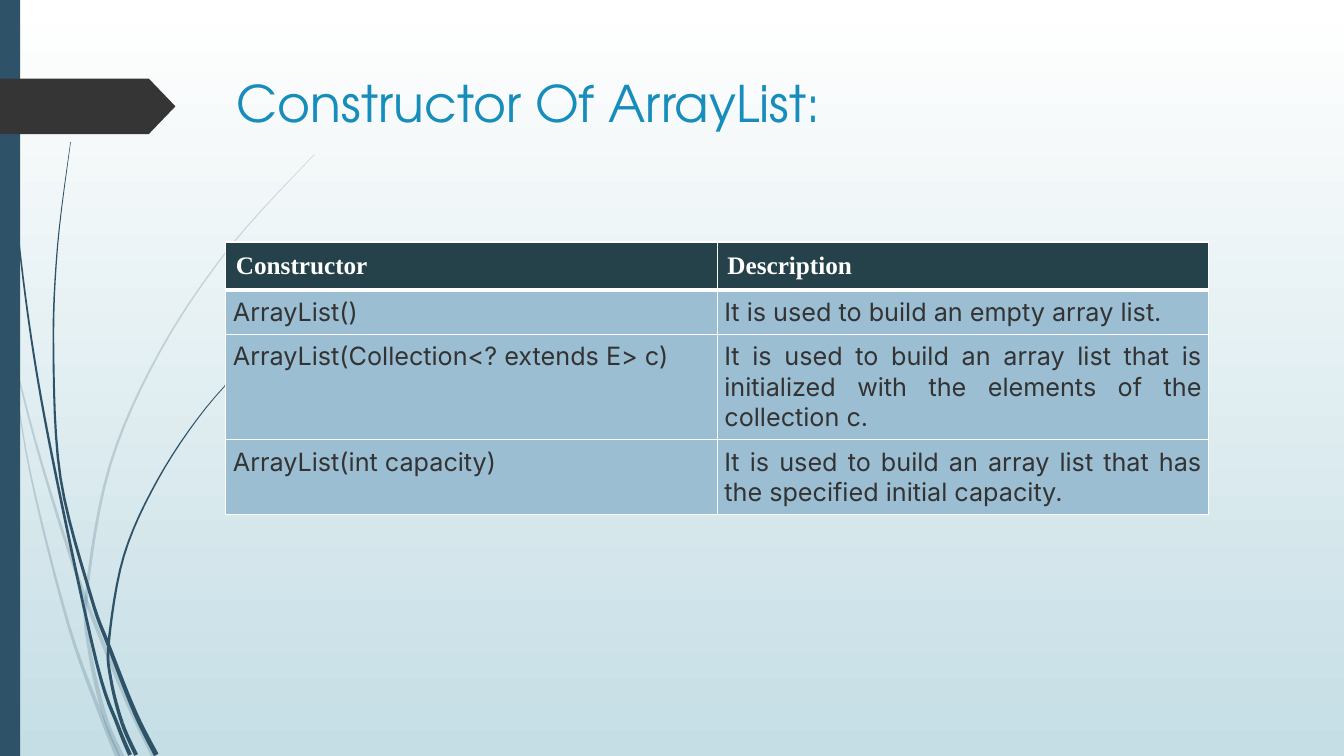
import math
from dataclasses import dataclass

from lxml import etree
from pptx import Presentation
from pptx.dml.color import RGBColor
from pptx.enum.shapes import MSO_SHAPE
from pptx.enum.text import MSO_ANCHOR, PP_ALIGN
from pptx.oxml.ns import qn
from pptx.util import Inches, Pt

ARROW = MSO_SHAPE.PENTAGON
RECT = MSO_SHAPE.RECTANGLE
TOP = MSO_ANCHOR.TOP
LEFT, JUSTIFY = PP_ALIGN.LEFT, PP_ALIGN.JUSTIFY
COLORS = {
    "white": "FFFFFF", "mist": "C5DEE5", "navy": "2E5369", "coal": "353535",
    "title": "178DBB", "head": "254149", "body": "9BBED3", "text": "333333",
}
STEPS = 6  # line pieces between two knots


@dataclass(frozen=True)
class Blade:
    """A tapering blade of grass; cuts are the knots where it is split."""
    alpha: int
    width: float
    cuts: tuple
    knots: tuple


@dataclass(frozen=True)
class Style:
    font: str
    color: str
    fill: str
    bold: bool
    inset: float
    align: PP_ALIGN
    base: int  # width of the bottom border in points


BLADES = (
    Blade(20, 0.05, (1, 4), ((0, 2.9), (0.12, 3.47), (0.34, 4.34), (0.6, 5.21),
                             (0.86, 5.97), (1.25, 6.93), (1.53, 7.51))),
    Blade(20, 0.05, (3,), ((0.11, 3.5), (0.3, 4.69), (0.68, 6.2), (1.01, 7.12),
                           (1.17, 7.51))),
    Blade(20, 0.05, (4, 6), ((3.12, 1.53), (2.29, 2.44), (1.59, 3.48), (1.09, 4.62),
                             (0.86, 5.88), (0.89, 6.46), (1.04, 7.11), (1.21, 7.51))),
    Blade(100, 0.04, (4, 6), ((0.04, 0), (0.08, 1.1), (0.18, 2.33), (0.34, 3.55),
                              (0.57, 4.79), (0.96, 6.58), (1.17, 7.2), (1.29, 7.49))),
    Blade(100, 0.05, (3, 5), ((0.7, 1.41), (0.57, 2.45), (0.53, 3.49), (0.6, 4.74),
                              (0.9, 5.91), (1.08, 6.41), (1.34, 7.07), (1.55, 7.49))),
    Blade(100, 0.04, (4, 6), ((2.6, 3.44), (2.04, 4.05), (1.57, 4.75), (1.23, 5.51),
                              (1.08, 6.36), (1.1, 6.74), (1.21, 7.17), (1.35, 7.49))),
)
HEAD = Style("Times New Roman", "white", "head", True, 0.1, LEFT, 3)
BODY = Style("Inter", "text", "body", False, 0.07, JUSTIFY, 1)
ROWS = (
    ("Constructor", "Description"),
    ("ArrayList()", "It is used to build an empty array list."),
    ("ArrayList(Collection<? extends E> c)", "It is used to build an array list that is "
     "initialized with the elements of the collection c."),
    ("ArrayList(int capacity)",
     "It is used to build an array list that has the specified initial capacity."),
)


def rgb(name: str) -> RGBColor:
    return RGBColor.from_string(COLORS[name])


def paint(shape, color: str, alpha: int = 100) -> None:
    shape.shadow.inherit = False
    shape.fill.solid()
    shape.fill.fore_color.rgb = rgb(color)
    shape.line.fill.background()
    if alpha < 100:
        tone = shape.element.spPr.find(qn("a:solidFill"))[0]
        etree.SubElement(tone, qn("a:alpha"), val=str(alpha * 1000))


def smooth(knots: tuple) -> list:
    """Run a Catmull-Rom curve through the knots."""
    ends = (knots[0], *knots, knots[-1])
    points = [knots[0]]
    for quad in zip(ends, ends[1:], ends[2:], ends[3:]):
        for step in range(1, STEPS + 1):
            t = step / STEPS
            points.append(tuple(
                b + t * (c - a + t * (2 * a - 5 * b + 4 * c - d
                                      + t * (3 * b - a - 3 * c + d))) / 2
                for a, b, c, d in zip(*quad)))
    return points


def draw_blade(shapes, blade: Blade) -> None:
    spine = smooth(blade.knots)
    last = len(spine) - 1
    left, right = [], []
    for i, (x, y) in enumerate(spine):
        (xa, ya), (xb, yb) = spine[max(i - 1, 0)], spine[min(i + 1, last)]
        turn = math.atan2(yb - ya, xb - xa)
        half = blade.width * (0.1 + 0.9 * i / last) / 2
        dx, dy = half * math.sin(turn), half * math.cos(turn)
        left.append((Inches(x + dx), Inches(y - dy)))
        right.append((Inches(x - dx), Inches(y + dy)))
    stops = [0, *(cut * STEPS for cut in blade.cuts), last]
    for a, b in zip(stops, stops[1:]):
        edge = left[a:b + 1] + right[a:b + 1][::-1]
        pen = shapes.build_freeform(*edge[0])
        pen.add_line_segments(edge[1:], close=True)
        paint(pen.convert_to_shape(), "navy", blade.alpha)


def write(para, text: str, font: str, size: int, color: str, bold: bool) -> None:
    run = para.add_run()
    run.text = text
    run.font.name, run.font.size, run.font.bold = font, Pt(size), bold
    run.font.color.rgb = rgb(color)


def fill_cell(cell, text: str, style: Style) -> None:
    cell.margin_left = cell.margin_right = Inches(style.inset)
    cell.margin_top = cell.margin_bottom = Inches(style.inset)
    para = cell.text_frame.paragraphs[0]
    para.alignment = style.align
    write(para, text, style.font, 18, style.color, style.bold)
    props = cell._tc.get_or_add_tcPr()
    for side, width in (("L", 1), ("R", 1), ("T", 1), ("B", style.base)):
        edge = etree.SubElement(props, qn(f"a:ln{side}"), w=str(Pt(width)))
        tone = etree.SubElement(edge, qn("a:solidFill"))
        etree.SubElement(tone, qn("a:srgbClr"), val=COLORS["white"])
    cell.fill.solid()
    cell.fill.fore_color.rgb = rgb(style.fill)


def main() -> None:
    deck = Presentation()
    deck.slide_width, deck.slide_height = Inches(13.33), Inches(7.5)
    slide = deck.slides.add_slide(deck.slide_layouts[5])
    shapes = slide.shapes
    back = slide.background.fill
    back.gradient()
    back.gradient_angle = 270
    for stop, color in zip(back.gradient_stops, ("white", "mist")):
        stop.color.rgb = rgb(color)

    for blade in BLADES:
        draw_blade(shapes, blade)
    paint(shapes.add_shape(RECT, 0, 0, Inches(0.2), Inches(7.5)), "navy")
    arrow = shapes.add_shape(ARROW, 0, Inches(0.78), Inches(1.74), Inches(0.55))
    arrow.adjustments[0] = 0.48
    paint(arrow, "coal")

    title = shapes.title
    title.left, title.top = Inches(2.25), Inches(0.67)
    title.width, title.height = Inches(9.75), Inches(1.4)
    title.text_frame.vertical_anchor = TOP
    para = title.text_frame.paragraphs[0]
    para.alignment = LEFT
    write(para, "Constructor Of ArrayList:", "TeX Gyre Adventor", 36, "title", False)
    shapes.element.append(title.element)  # in front of the blades

    table = shapes.add_table(len(ROWS), 2, Inches(2.24), Inches(2.4),
                             Inches(9.75), Inches(0.41 * len(ROWS))).table
    table.horz_banding = False
    for r, texts in enumerate(ROWS):
        for c, text in enumerate(texts):
            fill_cell(table.cell(r, c), text, BODY if r else HEAD)

    deck.save("out.pptx")


if __name__ == "__main__":
    main()
